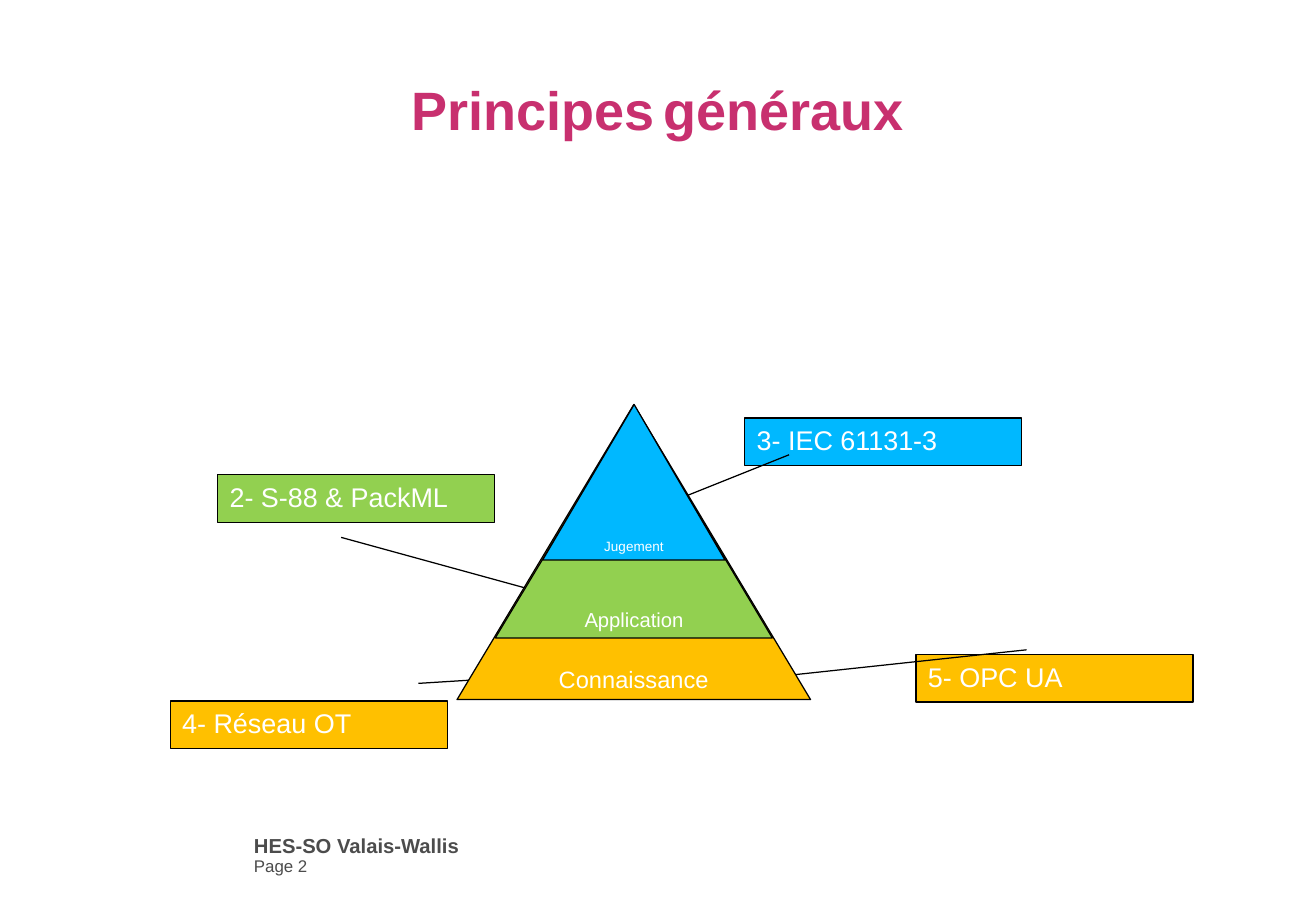
from pptx import Presentation
from pptx.dml.color import RGBColor
from pptx.enum.shapes import MSO_SHAPE
from pptx.enum.text import MSO_ANCHOR, PP_ALIGN
from pptx.util import Cm, Pt

MID = 13.25
BLUE, GREEN, GOLD = "00B8FF", "92D050", "FFC000"
WHITE, BLACK, PINK, GREY = "FFFFFF", "000000", "C8306F", "4C4C4C"

TIERS = [
    ("Connaissance", 14, GOLD, 8.46, 7.39, 6.17, 0.5),
    ("Application", 12, GREEN, 8.51, 5.79, 4.83, 0.502),
    ("Jugement", 8, BLUE, 8.46, 3.81, 3.25, 0.502),
]
NOTES = [
    ("2- S-88 & PackML", GREEN, 4.55, 9.93, (1.322, 0.446, 2.442, 1.143)),
    ("3- IEC 61131-3", BLUE, 15.57, 8.74, (0.779, 0.16, 1.682, -0.226)),
    ("4- Réseau OT", GOLD, 3.56, 14.66, (-0.373, 0.896, -0.523, 1.305)),
    ("5- OPC UA", GOLD, 19.15, 13.69, (-0.103, 0.399, 0.572, -0.674)),
]


def color(code):
    """Turn a hex string into a colour."""
    return RGBColor.from_string(code)


def write(frame, lines, tint, align=PP_ALIGN.LEFT, anchor=MSO_ANCHOR.TOP, gap=1.0):
    """Fill a frame with lines, each a list of (text, size, bold) runs."""
    frame.word_wrap = True
    frame.vertical_anchor = anchor
    for i, runs in enumerate(lines):
        para = frame.add_paragraph() if i else frame.paragraphs[0]
        para.alignment = align
        para.line_spacing = gap
        for text, size, bold in runs:
            run = para.add_run()
            run.text = text
            run.font.name = "Arial"
            run.font.size = Pt(size)
            run.font.bold = bold
            run.font.color.rgb = color(tint)


def label(slide, box, lines, tint, **style):
    """Add a text box without margins."""
    frame = slide.shapes.add_textbox(*map(Cm, box)).text_frame
    frame.margin_left = frame.margin_right = 0
    frame.margin_top = frame.margin_bottom = 0
    write(frame, lines, tint, **style)


def block(slide, kind, box, fill, adjust, text, size, **style):
    """Add a filled, outlined shape with one line of text."""
    shape = slide.shapes.add_shape(kind, *map(Cm, box))
    shape.shadow.inherit = False
    shape.fill.solid()
    shape.fill.fore_color.rgb = color(fill)
    shape.line.color.rgb = color(BLACK)
    shape.line.width = Pt(0.75)
    for i, value in enumerate(adjust):
        shape.adjustments[i] = value
    write(shape.text_frame, [[(text, size, False)]], WHITE, **style)


def tier(slide, text, size, fill, top, width, height, peak):
    """Add one triangle of the pyramid, centred on its axis."""
    box = (MID - width / 2, top, width, height)
    block(slide, MSO_SHAPE.ISOSCELES_TRIANGLE, box, fill, [peak], text, size,
          align=PP_ALIGN.CENTER, anchor=MSO_ANCHOR.BOTTOM)


def note(slide, text, fill, left, top, adjust):
    """Add a callout that points to the pyramid."""
    box = (left, top, 5.79, 0.99)
    block(slide, MSO_SHAPE.LINE_CALLOUT_1, box, fill, adjust, text, 16)


def main():
    """Build the slide and save it."""
    deck = Presentation()
    deck.slide_width, deck.slide_height = Cm(27.51), Cm(19.05)
    slide = deck.slides.add_slide(deck.slide_layouts[6])
    label(slide, (5.31, 17.48, 7.49, 0.71),
          [[("HES-SO Valais-Wallis", 12, True)], [("Page 2", 10, False)]],
          GREY, gap=0.9)
    label(slide, (1.37, 0.76, 24.77, 3.18),
          [[("Principes", 32, True), (" ", 18, True), ("généraux", 32, True)]],
          PINK, align=PP_ALIGN.CENTER, anchor=MSO_ANCHOR.MIDDLE, gap=0.93)
    for item in NOTES:
        note(slide, *item)
    for item in TIERS:
        tier(slide, *item)
    deck.save("out.pptx")


if __name__ == "__main__":
    main()
